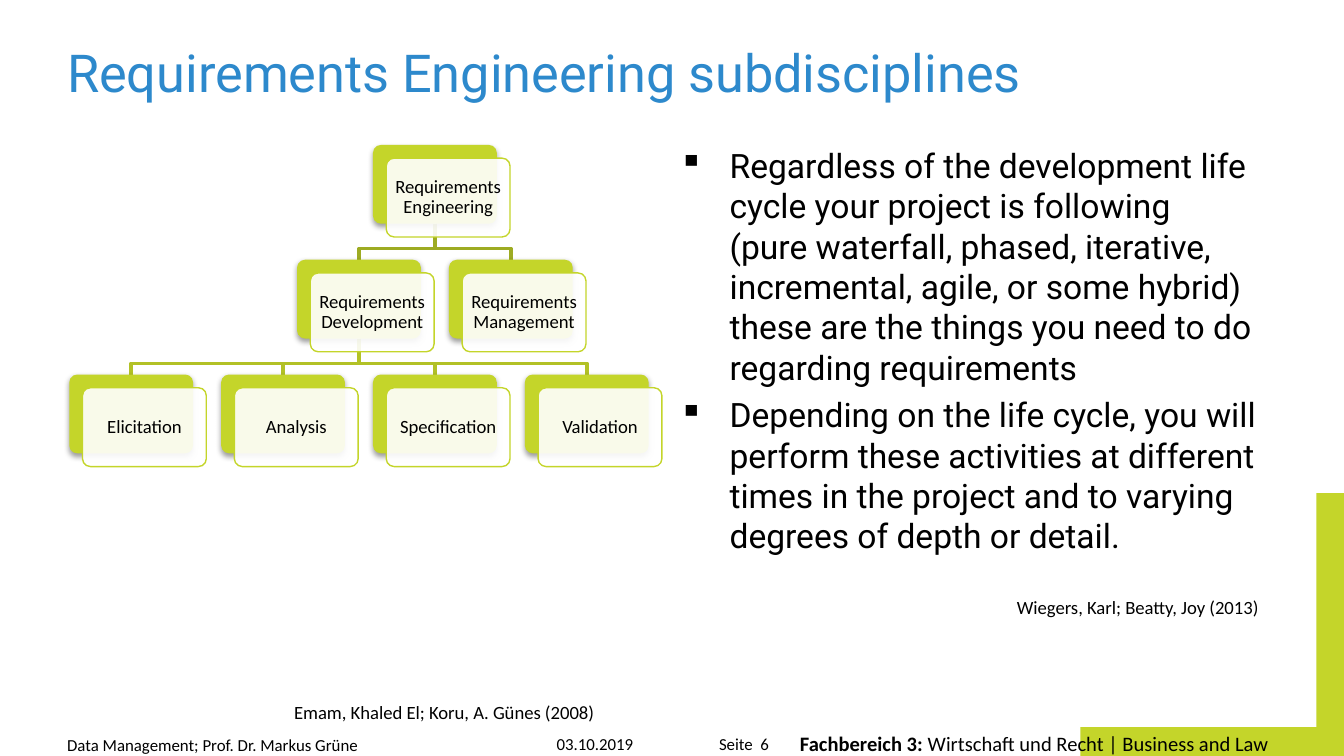
from lxml import etree
from pptx import Presentation
from pptx.dml.color import RGBColor
from pptx.enum.shapes import MSO_SHAPE
from pptx.enum.text import MSO_ANCHOR, PP_ALIGN
from pptx.oxml import parse_xml
from pptx.oxml.ns import nsdecls, qn
from pptx.util import Cm, Pt

CORNER, CARD = MSO_SHAPE.CORNER, MSO_SHAPE.ROUNDED_RECTANGLE
TOP, MIDDLE, BOTTOM = MSO_ANCHOR.TOP, MSO_ANCHOR.MIDDLE, MSO_ANCHOR.BOTTOM
LEFT, CENTER, RIGHT = PP_ALIGN.LEFT, PP_ALIGN.CENTER, PP_ALIGN.RIGHT

LIME = RGBColor(0xC4, 0xD5, 0x2A)
UPPER_BRANCH = RGBColor(0x9D, 0xAB, 0x22)
LOWER_BRANCH = RGBColor(0xB2, 0xC1, 0x26)
BLUE = RGBColor(0x2D, 0x89, 0xCC)
BLACK = RGBColor(0, 0, 0)
WHITE = RGBColor(0xFF, 0xFF, 0xFF)

TREE_LEFT, TREE_TOP = 1.31, 2.74
COLUMN_STEP, LEVEL_STEP = 2.87, 2.17
CARD_WIDTH, CARD_HEIGHT = 2.34, 1.49
CARD_SHIFT = 0.25
BRANCH_DROP = 0.47

NODES = [
    ("Requirements Engineering", 2, 0),
    ("Requirements Development", 1.5, 1),
    ("Requirements Management", 2.5, 1),
    ("Elicitation", 0, 2),
    ("Analysis", 1, 2),
    ("Specification", 2, 2),
    ("Validation", 3, 2),
]
BRANCHES = [
    (2, 0, (1.5, 2.5), UPPER_BRANCH),
    (1.5, 1, (0, 1, 2, 3), LOWER_BRANCH),
]
ADVICE = [
    "Regardless of the development life cycle your project is following\v"
    "(pure waterfall, phased, iterative, incremental, agile, or some hybrid) "
    "these are the things you need to do regarding requirements",
    "Depending on the life cycle, you will perform these activities at different "
    "times in the project and to varying degrees of depth or detail.",
]


def style_paragraph(paragraph, size, font="Calibri", color=BLACK, align=LEFT, spacing=1.0):
    paragraph.font.size = Pt(size)
    paragraph.font.name = font
    paragraph.font.color.rgb = color
    paragraph.alignment = align
    paragraph.line_spacing = spacing


def add_text(slide, box, text, size, anchor=TOP, inset=True, wrap=True, **style):
    frame = slide.shapes.add_textbox(*map(Cm, box)).text_frame
    frame.word_wrap = wrap
    frame.vertical_anchor = anchor
    if not inset:
        set_insets(frame, 0)
    frame.text = text
    for paragraph in frame.paragraphs:
        style_paragraph(paragraph, size, **style)
    return frame


def set_insets(frame, inset):
    frame.margin_left = frame.margin_right = Cm(inset)
    frame.margin_top = frame.margin_bottom = Cm(inset)


def add_bullets(frame):
    for paragraph in frame.paragraphs:
        paragraph.space_before = Pt(4)
        properties = paragraph._p.get_or_add_pPr()
        properties.set("marL", str(Cm(0.96)))
        properties.set("indent", str(-Cm(0.96)))
        bullet = parse_xml(f'<a:buChar {nsdecls("a")} char="▪"/>')
        properties.insert_element_before(bullet, "a:tabLst", "a:defRPr", "a:extLst")


def add_corner(slide):
    corner = slide.shapes.add_shape(CORNER, Cm(20.42), Cm(9.32), Cm(5), Cm(5))
    corner.adjustments[0] = 0.115
    corner.adjustments[1] = 0.108
    corner.shadow.inherit = False
    corner.fill.solid()
    corner.fill.fore_color.rgb = LIME
    corner.line.fill.background()
    corner._element.spPr.find(qn("a:xfrm")).set("flipH", "1")


def node_position(column, level):
    return TREE_LEFT + column * COLUMN_STEP, TREE_TOP + level * LEVEL_STEP


def add_branch(slide, parent, level, child, color):
    parent_left, parent_top = node_position(parent, level)
    child_left, child_top = node_position(child, level + 1)
    start, end = parent_left + CARD_WIDTH / 2, child_left + CARD_WIDTH / 2
    bottom = parent_top + CARD_HEIGHT
    bend = bottom + BRANCH_DROP
    builder = slide.shapes.build_freeform(Cm(start), Cm(bottom))
    corners = [(start, bend), (end, bend), (end, child_top)]
    builder.add_line_segments([(Cm(x), Cm(y)) for x, y in corners], close=False)
    branch = builder.convert_to_shape()
    branch.shadow.inherit = False
    branch.fill.background()
    branch.line.color.rgb = color
    branch.line.width = Pt(2)


def add_card(slide, left, top, color):
    card = slide.shapes.add_shape(CARD, Cm(left), Cm(top), Cm(CARD_WIDTH), Cm(CARD_HEIGHT))
    card.adjustments[0] = 0.1
    card.shadow.inherit = False
    card.fill.solid()
    card.fill.fore_color.rgb = color
    return card


def add_node(slide, label, column, level):
    left, top = node_position(column, level)
    back = add_card(slide, left, top, LIME)
    back.line.fill.background()
    effects = back._element.spPr.find(qn("a:effectLst"))
    effects.append(parse_xml(
        f'<a:outerShdw {nsdecls("a")} blurRad="{Pt(3.1)}" dist="{Pt(1.6)}" dir="5400000" '
        'rotWithShape="0"><a:srgbClr val="000000"><a:alpha val="38000"/></a:srgbClr></a:outerShdw>'
    ))

    front = add_card(slide, left + CARD_SHIFT, top + CARD_SHIFT, WHITE)
    front.line.color.rgb = LIME
    front.line.width = Pt(0.75)
    fill_color = front._element.spPr.find(qn("a:solidFill"))[0]
    etree.SubElement(fill_color, qn("a:alpha")).set("val", "90000")
    frame = front.text_frame
    frame.word_wrap = True
    frame.vertical_anchor = MIDDLE
    set_insets(frame, 0.1)
    frame.text = label
    style_paragraph(frame.paragraphs[0], 10, align=CENTER, spacing=0.9)


def add_department(slide):
    frame = add_text(slide, (14.3, 13.69, 9.93, 0.74), "Fachbereich 3: ", 11, align=RIGHT)
    paragraph = frame.paragraphs[0]
    paragraph.runs[0].font.bold = True
    paragraph.add_run().text = "Wirtschaft und Recht | Business and Law"


def add_footer(slide):
    add_text(slide, (1.27, 13.84, 9.25, 0.43), "Data Management; Prof. Dr. Markus Grüne", 9,
             BOTTOM, inset=False, spacing=1.2)
    add_text(slide, (10.52, 13.87, 3.07, 0.38), "03.10.2019", 9, BOTTOM, inset=False)
    add_text(slide, (13.59, 13.87, 1, 0.38), "Seite  6", 9, BOTTOM, inset=False, wrap=False)


def main():
    presentation = Presentation()
    presentation.slide_width, presentation.slide_height = Cm(25.4), Cm(14.29)
    slide = presentation.slides.add_slide(presentation.slide_layouts[6])

    add_corner(slide)
    add_department(slide)
    advice = add_text(slide, (12.83, 2.74, 11.23, 10.72), "\n".join(ADVICE), 18,
                      inset=False, font="Roboto")
    add_bullets(advice)
    add_text(slide, (1.27, 0.74, 22.78, 1.22), "Requirements Engineering subdisciplines", 28,
             BOTTOM, inset=False, font="Roboto", color=BLUE, spacing=0.9)
    add_footer(slide)
    add_text(slide, (5.31, 13.13, 6.25, 1.12), "Emam, Khaled El; Koru, A. Günes (2008)", 10,
             wrap=False)
    add_text(slide, (18.97, 11.13, 5.38, 0.69), "Wiegers, Karl; Beatty, Joy (2013)", 10,
             wrap=False)

    for parent, level, children, color in BRANCHES:
        for child in children:
            add_branch(slide, parent, level, child, color)
    for label, column, level in NODES:
        add_node(slide, label, column, level)

    presentation.save("out.pptx")


if __name__ == "__main__":
    main()
